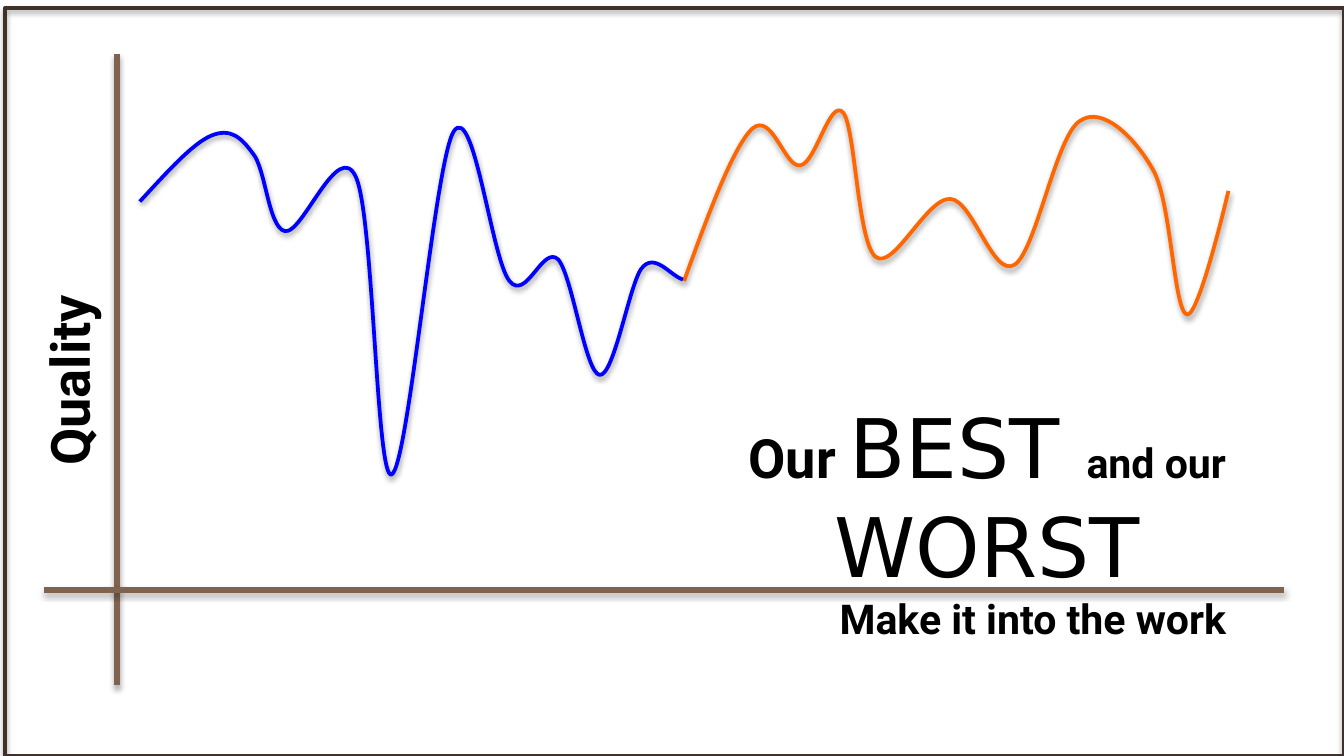
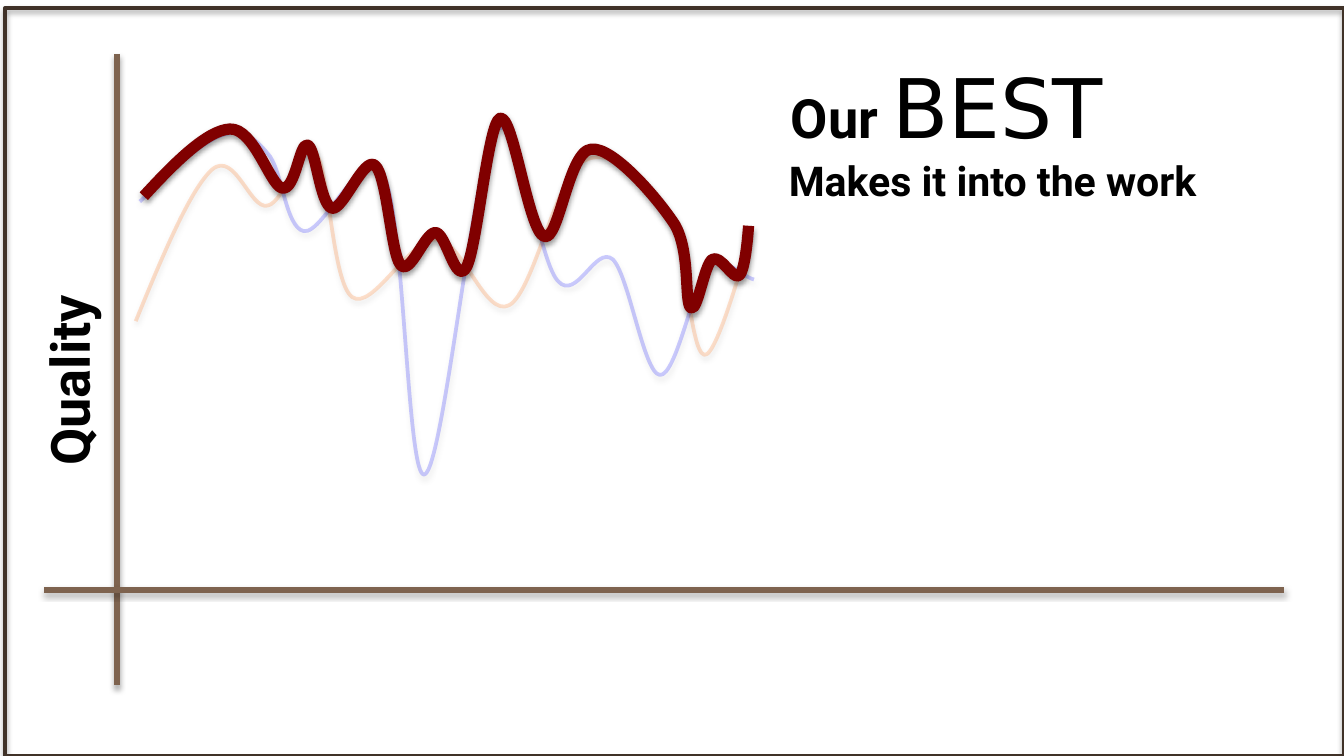
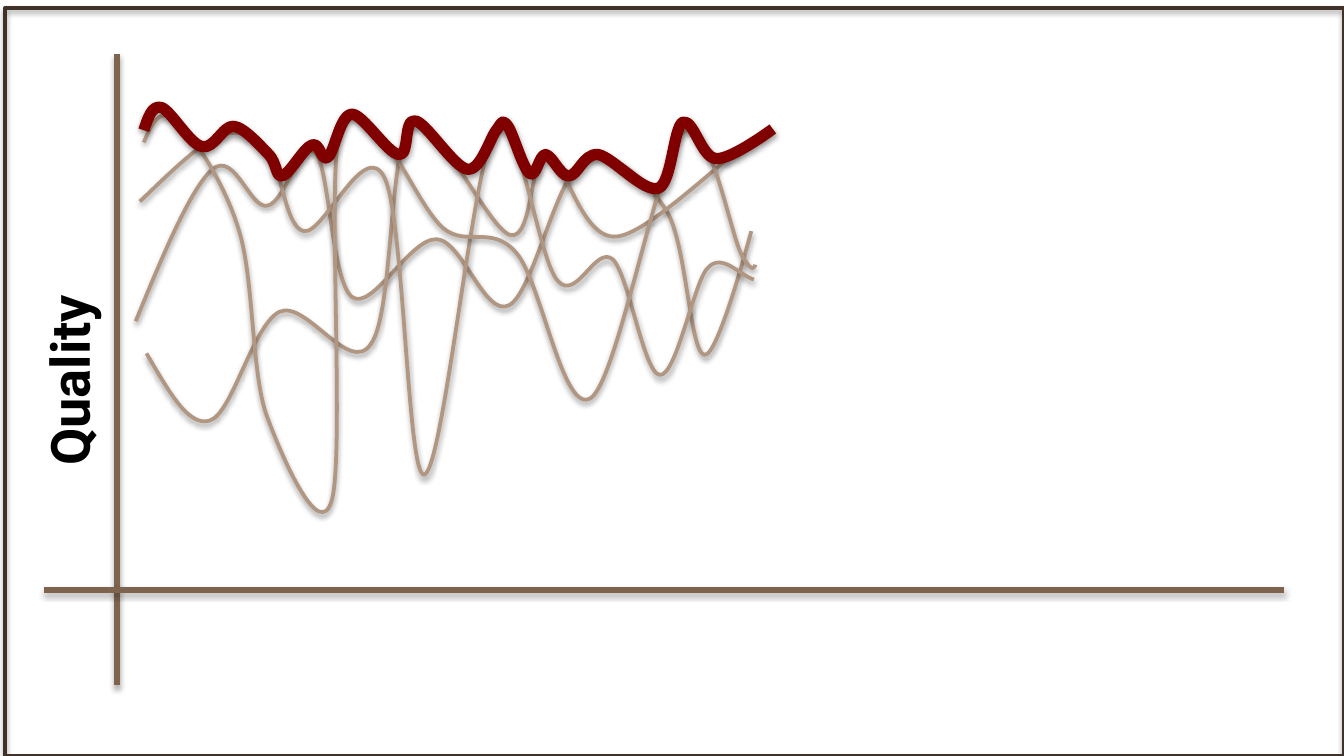
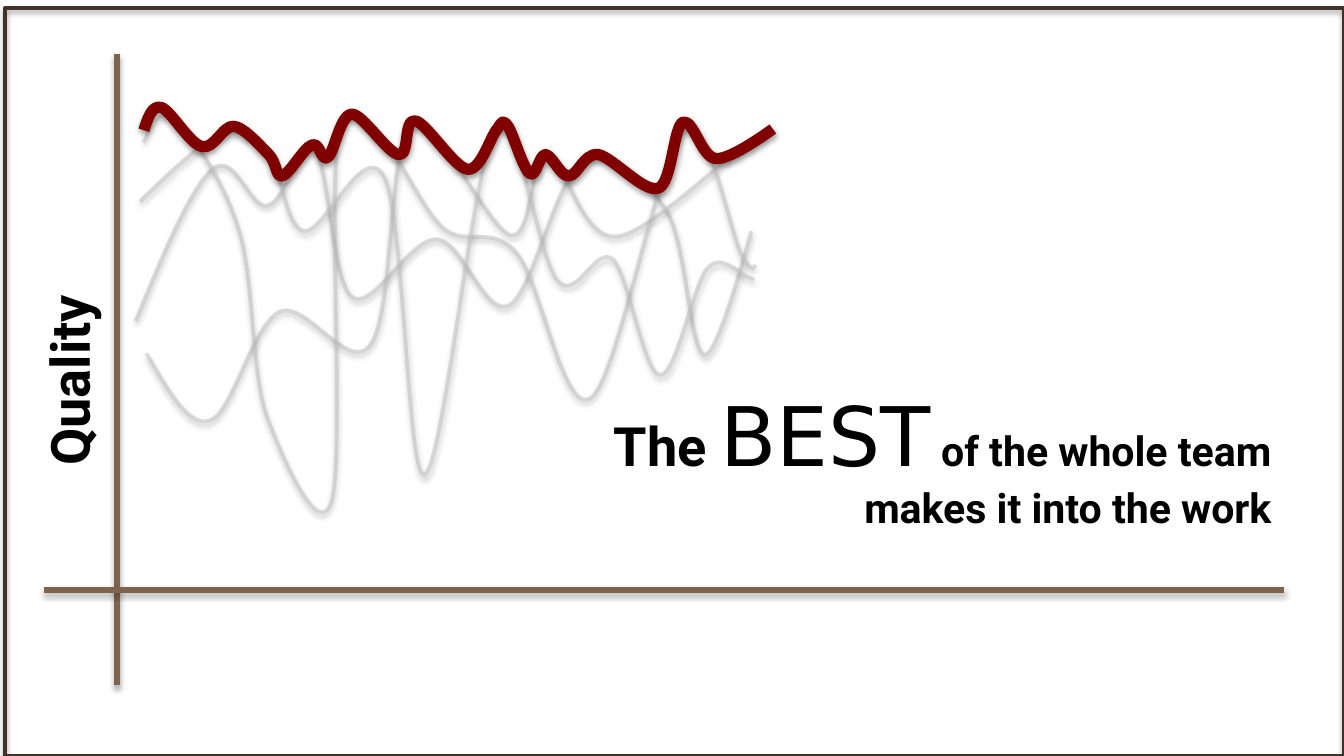
"""Builds four slides on how shared work keeps the best quality."""
from dataclasses import dataclass
from typing import Optional, Union

from lxml import etree
from pptx import Presentation
from pptx import util as u
from pptx.dml.color import RGBColor
from pptx.enum import shapes, text
from pptx.oxml.ns import qn

PX = 9144
SLIDE_WIDTH = 1000 * PX
SLIDE_HEIGHT = SLIDE_WIDTH * 9 // 16
INK, FRAME, AXIS = "000000", "403228", "7E634F"
ORANGE, BLUE, BEST_RED, TAN, GREY = "FF6600", "0000FF", "800000", "B19682", "BFBFBF"
SHIFT = 68
Point = tuple[int, int]


@dataclass(frozen=True)
class Box:
    left: int
    top: int
    width: int
    height: int

    def emu(self) -> list[int]:
        return [side * PX for side in (self.left, self.top, self.width, self.height)]


@dataclass(frozen=True)
class Shadow:
    opacity: int
    distance: float
    blur: float = 3.1


@dataclass(frozen=True)
class Style:
    size: int
    font: str = "Roboto"
    bold: bool = True


@dataclass(frozen=True)
class Line:
    runs: tuple[tuple[str, Style], ...]
    indent: int = 0


@dataclass(frozen=True)
class Caption:
    box: Box
    lines: tuple[Line, ...]
    align: text.PP_ALIGN = text.PP_ALIGN.CENTER
    rotation: int = 0


@dataclass(frozen=True)
class Curve:
    box: Box
    points: tuple[Point, ...]


@dataclass(frozen=True)
class Stroke:
    curve: Curve
    color: str
    width: int = 2
    opacity: int = 100
    box: Optional[Box] = None


LARGE, SMALL = Style(29), Style(22)
SHOUT = Style(44, "DejaVu Sans", False)
FRAME_SHADOW, CURVE_SHADOW = Shadow(35, 1.8), Shadow(38, 1.6)
FRAME_BOX = Box(4, 6, 996, 557)
AXES = (((87, 40), (87, 510)), ((33, 439), (955, 439)))
QUALITY = Caption(Box(-282, 245, 665, 76), (Line((("Quality", LARGE),)),), rotation=270)

ORANGE_CURVE = Curve(Box(101, 112, 458, 152), (
    (101, 239), (121, 190), (142, 140), (158, 126), (175, 112), (186, 156), (199, 153),
    (212, 151), (224, 102), (235, 114), (245, 125), (247, 210), (262, 221),
    (277, 232), (305, 177), (325, 178), (344, 179), (361, 237), (379, 227),
    (397, 217), (414, 131), (434, 120), (453, 108), (481, 133), (496, 157),
    (511, 181), (513, 261), (524, 264), (534, 267), (559, 172), (559, 172)))
BLUE_CURVE = Curve(Box(104, 95, 458, 258), (
    (104, 150), (126, 129), (148, 107), (164, 101), (180, 95), (189, 102), (199, 114),
    (210, 125), (212, 169), (226, 172), (241, 175), (271, 102), (286, 132),
    (301, 162), (303, 359), (316, 353), (330, 347), (352, 122), (368, 98),
    (385, 74), (400, 193), (415, 209), (429, 225), (443, 182), (456, 193),
    (468, 205), (479, 278), (491, 279), (503, 280), (516, 212), (526, 200),
    (537, 187), (550, 205), (561, 208)))
THIRD_CURVE = Curve(Box(109, 93, 460, 221), (
    (109, 263), (125, 290), (140, 318), (156, 313), (173, 308), (188, 242), (208, 232),
    (228, 223), (260, 280), (276, 256), (293, 233), (289, 108), (306, 94),
    (323, 80), (363, 171), (380, 175), (397, 178), (394, 115), (407, 115),
    (420, 116), (432, 179), (459, 176), (486, 173), (548, 107), (569, 99)))
FOURTH_CURVE = Curve(Box(107, 86, 456, 296), (
    (107, 106), (113, 92), (119, 79), (131, 90), (143, 100), (167, 135), (178, 172),
    (189, 208), (187, 275), (198, 308), (210, 341), (238, 405), (247, 372),
    (256, 339), (245, 154), (251, 109), (257, 65), (271, 96), (285, 106),
    (298, 116), (314, 156), (330, 170), (347, 184), (366, 167), (384, 188),
    (403, 209), (419, 311), (440, 296), (460, 281), (490, 116), (508, 99),
    (527, 81), (543, 173), (552, 190), (561, 206), (562, 197), (562, 197)))
PAIR_BEST = Curve(Box(107, 88, 450, 142), (
    (107, 146), (130, 121), (154, 97), (171, 96), (189, 95), (201, 138), (210, 140),
    (220, 142), (223, 105), (229, 108), (235, 110), (238, 152), (247, 155),
    (255, 157), (271, 116), (279, 123), (288, 130), (291, 189), (298, 197),
    (305, 206), (316, 173), (324, 173), (332, 173), (339, 213), (347, 199),
    (355, 185), (363, 92), (372, 88), (382, 84), (393, 172), (405, 176),
    (416, 180), (423, 112), (440, 111), (456, 109), (489, 147), (502, 167),
    (514, 187), (509, 225), (514, 229), (519, 233), (524, 197), (530, 193),
    (536, 189), (546, 209), (550, 205), (555, 201), (557, 168), (557, 168)))
TEAM_BEST = Curve(Box(107, 80, 468, 60), (
    (107, 97), (110, 88), (113, 78), (120, 80), (127, 82), (141, 107), (150, 109),
    (159, 112), (166, 93), (174, 94), (182, 95), (194, 109), (200, 115),
    (206, 121), (205, 132), (210, 131), (216, 129), (226, 110), (232, 108),
    (238, 105), (239, 121), (244, 117), (249, 113), (253, 85), (262, 85),
    (270, 85), (289, 115), (297, 115), (305, 116), (300, 88), (309, 90),
    (317, 91), (338, 125), (348, 126), (358, 127), (365, 101), (370, 96),
    (374, 90), (374, 89), (378, 94), (382, 100), (389, 125), (394, 129),
    (399, 133), (401, 115), (406, 115), (411, 116), (417, 131), (423, 131),
    (430, 131), (434, 114), (445, 115), (456, 117), (479, 144), (490, 140),
    (500, 136), (501, 95), (508, 91), (516, 88), (522, 118), (533, 118),
    (544, 119), (575, 96), (575, 96)))

BEST_AND_WORST = Caption(Box(439, 281, 591, 213), (
    Line((("Our ", LARGE), ("BEST ", SHOUT), ("and our ", SMALL), ("WORST", SHOUT))),
    Line((("Make it into the work", SMALL),), SHIFT)))
OUR_BEST = Caption(Box(409, 28, 591, 139), (
    Line((("Our ", LARGE), ("BEST", SHOUT))),
    Line((("Makes it into the work", SMALL),), SHIFT)))
TEAM_CAPTION = Caption(Box(382, 272, 591, 139), (
    Line((("The ", LARGE), ("BEST", SHOUT), (" of the whole team", SMALL))),
    Line((("makes it into the work", SMALL),))), text.PP_ALIGN.RIGHT)

SLIDES: list[list[Union[Caption, Stroke]]] = [
    [BEST_AND_WORST,
     Stroke(ORANGE_CURVE, ORANGE, box=Box(509, 82, 405, 152)),
     Stroke(BLUE_CURVE, BLUE, box=Box(104, 95, 405, 258))],
    [Stroke(ORANGE_CURVE, ORANGE, opacity=20), OUR_BEST,
     Stroke(BLUE_CURVE, BLUE, opacity=20), Stroke(PAIR_BEST, BEST_RED, 6)],
    [*(Stroke(curve, TAN) for curve in (ORANGE_CURVE, THIRD_CURVE, BLUE_CURVE, FOURTH_CURVE)),
     Stroke(TEAM_BEST, BEST_RED, 6)],
    [*(Stroke(curve, GREY, opacity=52) for curve in (ORANGE_CURVE, THIRD_CURVE, FOURTH_CURVE)),
     TEAM_CAPTION, Stroke(BLUE_CURVE, GREY, opacity=52), Stroke(TEAM_BEST, BEST_RED, 6)],
]


def rgb(color: str) -> RGBColor:
    return RGBColor.from_string(color)


def add_element(parent, tag: str, **attributes):
    values = {name: str(value) for name, value in attributes.items()}
    return etree.SubElement(parent, qn(tag), values)


def set_line(shape, color: str, width: float, shadow: Shadow, opacity: int = 100) -> None:
    shape.line.color.rgb = rgb(color)
    shape.line.width = u.Pt(width)
    properties = shape._element.spPr
    if opacity < 100:
        add_element(properties.find(".//" + qn("a:srgbClr")), "a:alpha", val=opacity * 1000)
    effects = add_element(properties, "a:effectLst")
    outer = add_element(effects, "a:outerShdw", blurRad=u.Pt(shadow.blur),
                        dist=u.Pt(shadow.distance), dir=90 * 60000, rotWithShape=0)
    shade = add_element(outer, "a:srgbClr", val=INK)
    add_element(shade, "a:alpha", val=shadow.opacity * 1000)


def set_font(font, style: Style) -> None:
    font.size = u.Pt(style.size)
    font.name = style.font
    font.bold = style.bold


def draw_caption(slide, caption: Caption) -> None:
    shape = slide.shapes.add_textbox(*caption.box.emu())
    shape.rotation = caption.rotation
    frame = shape.text_frame
    frame.word_wrap = True
    frame.auto_size = text.MSO_AUTO_SIZE.SHAPE_TO_FIT_TEXT
    frame.margin_left = frame.margin_right = 27 * PX
    frame.margin_top = frame.margin_bottom = 14 * PX
    for index, line in enumerate(caption.lines):
        paragraph = frame.add_paragraph() if index else frame.paragraphs[0]
        paragraph.alignment = caption.align
        if line.indent:
            paragraph._p.get_or_add_pPr().set("marL", str(line.indent * PX))
        paragraph.font.color.rgb = rgb(INK)
        if len(line.runs) == 1:
            set_font(paragraph.font, line.runs[0][1])
        for words, style in line.runs:
            run = paragraph.add_run()
            run.text = words
            if len(line.runs) > 1:
                set_font(run.font, style)


def draw_stroke(slide, stroke: Stroke) -> None:
    home, points = stroke.curve.box, stroke.curve.points
    builder = slide.shapes.build_freeform(*points[0], scale=PX)
    builder.add_line_segments(points[3::3], close=False)
    shape = builder.convert_to_shape()
    shape.left, shape.top, shape.width, shape.height = (stroke.box or home).emu()
    outline = shape._element.find(".//" + qn("a:path"))
    outline.clear()
    outline.set("w", str(home.width))
    outline.set("h", str(home.height))
    segments = [("a:moveTo", points[:1])]
    segments += [("a:cubicBezTo", points[i:i + 3]) for i in range(1, len(points), 3)]
    for tag, corners in segments:
        segment = add_element(outline, tag)
        for x, y in corners:
            add_element(segment, "a:pt", x=x - home.left, y=y - home.top)
    shape.fill.background()
    set_line(shape, stroke.color, stroke.width, CURVE_SHADOW, stroke.opacity)


def draw_stage(slide) -> None:
    frame = slide.shapes.add_shape(shapes.MSO_SHAPE.ROUNDED_RECTANGLE, *FRAME_BOX.emu())
    frame.adjustments[0] = 0
    frame.fill.background()
    set_line(frame, FRAME, 2.25, FRAME_SHADOW)
    draw_caption(slide, QUALITY)
    for start, end in AXES:
        ends = [value * PX for value in start + end]
        axis = slide.shapes.add_connector(shapes.MSO_CONNECTOR.STRAIGHT, *ends)
        set_line(axis, AXIS, 3, FRAME_SHADOW)


def main() -> None:
    presentation = Presentation()
    presentation.slide_width, presentation.slide_height = SLIDE_WIDTH, SLIDE_HEIGHT
    for items in SLIDES:
        slide = presentation.slides.add_slide(presentation.slide_layouts[6])
        draw_stage(slide)
        for item in items:
            if isinstance(item, Caption):
                draw_caption(slide, item)
            else:
                draw_stroke(slide, item)
    presentation.save("out.pptx")


if __name__ == "__main__":
    main()
